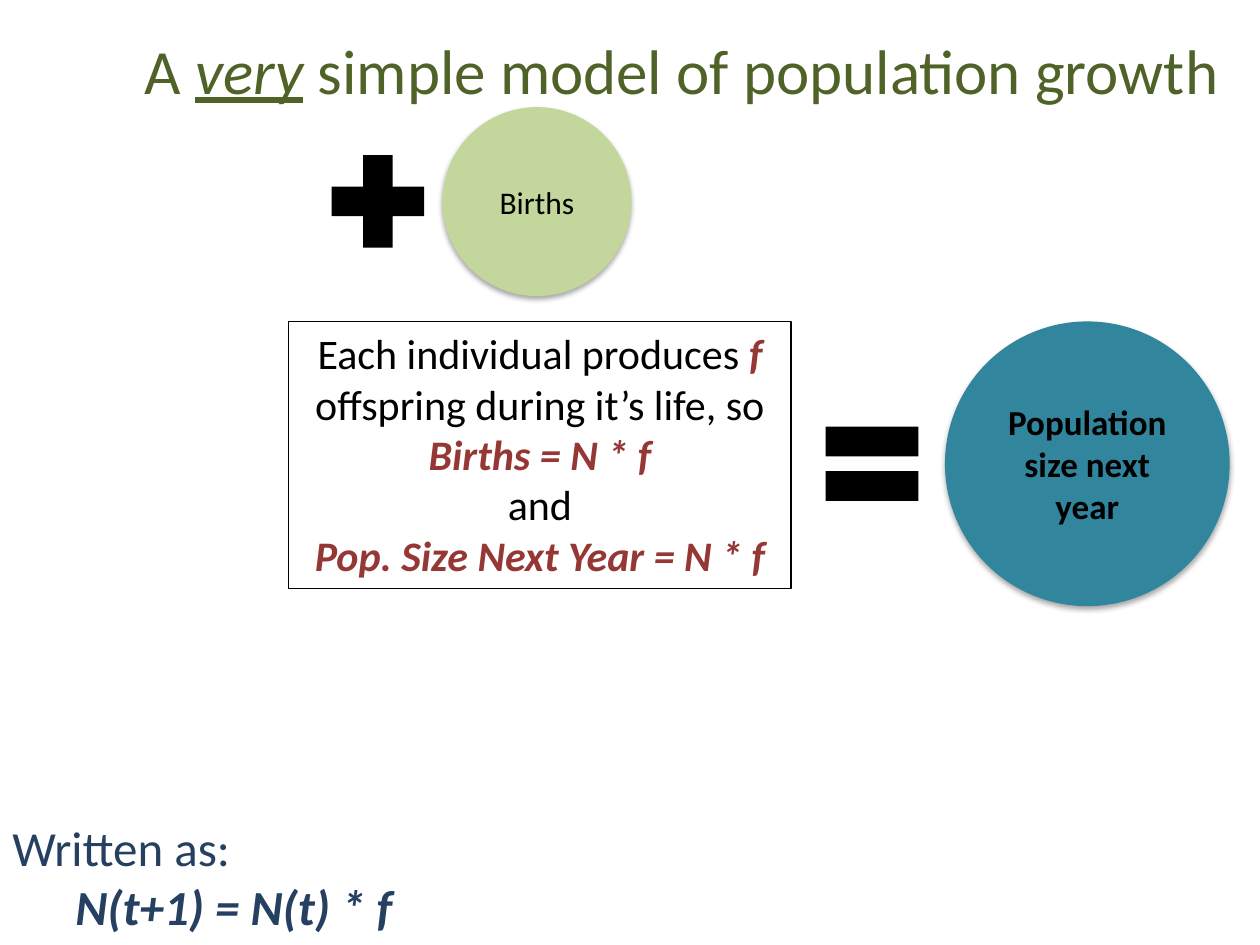
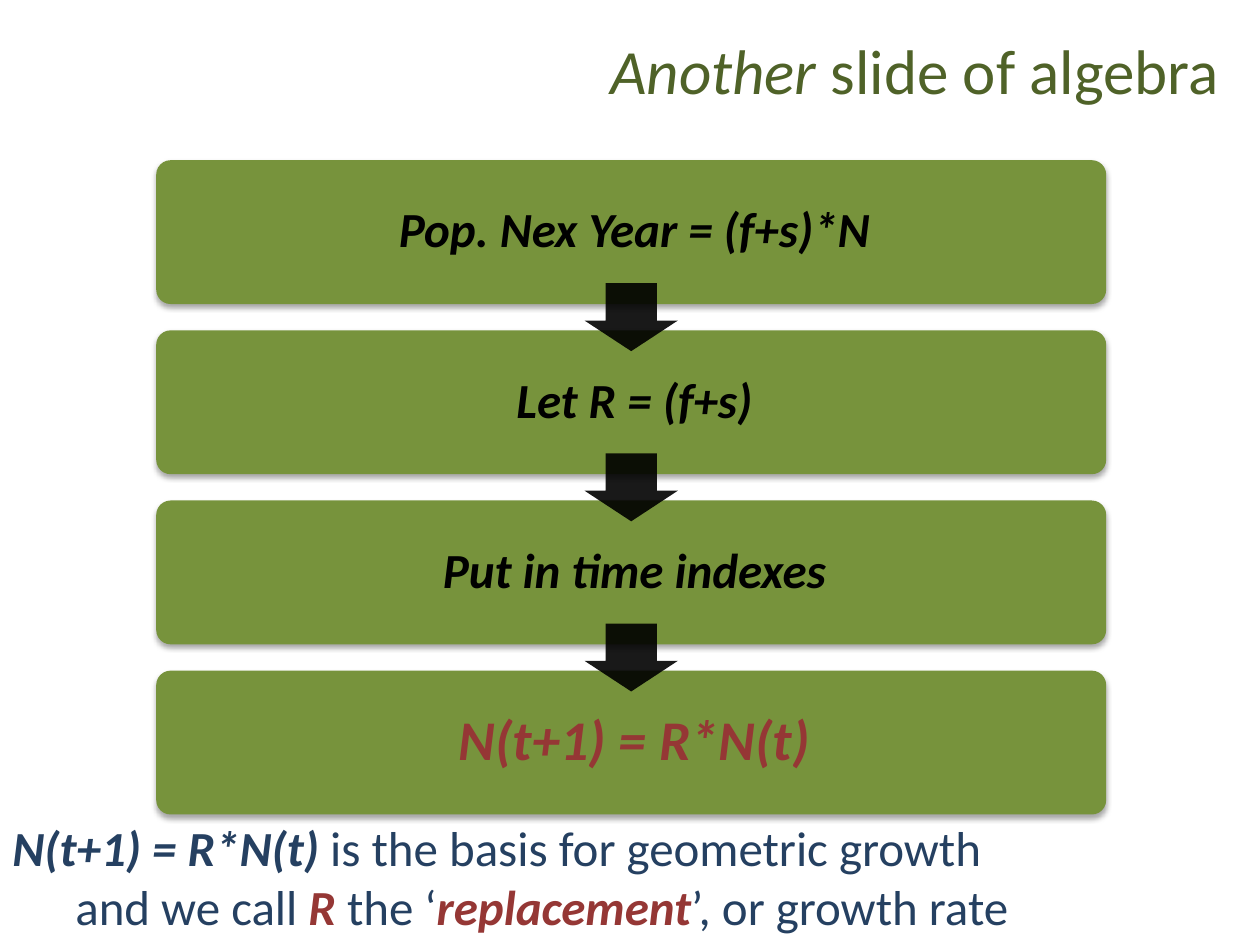
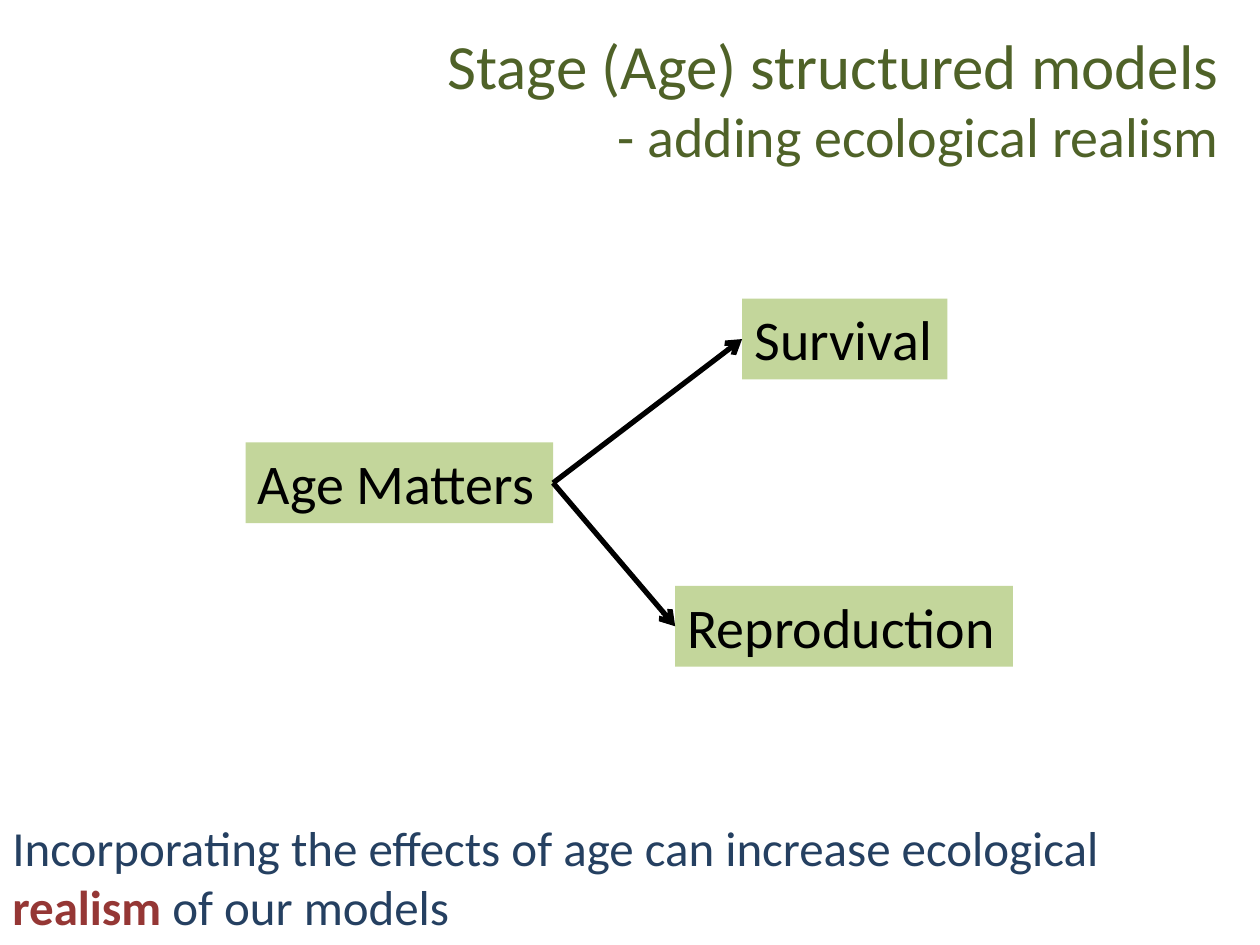
from dataclasses import dataclass
from typing import NamedTuple, Optional

import lxml.etree
import pptx
import pptx.dml.color
import pptx.enum.dml
import pptx.enum.shapes
import pptx.enum.text
import pptx.oxml
import pptx.oxml.ns
import pptx.util
from pptx.util import Cm

ALIGN = pptx.enum.text.PP_ALIGN
ANCHOR = pptx.enum.text.MSO_ANCHOR
SHAPE = pptx.enum.shapes.MSO_SHAPE
qn = pptx.oxml.ns.qn


@dataclass(frozen=True)
class Theme:
    font: str = "Calibri"
    black: str = "000000"
    title: str = "4F6228"
    caption: str = "254061"
    accent: str = "953735"
    pale_green: str = "C3D69B"
    step_green: str = "77933C"
    teal: str = "31859C"
    title_size: int = 36
    large: int = 32
    body: int = 28
    note: int = 24
    circle: int = 20
    small: int = 18


THEME = Theme()


class Box(NamedTuple):
    """Position and size in centimetres."""
    left: float
    top: float
    width: float
    height: float

    def lengths(self) -> list:
        return [Cm(value) for value in self]


@dataclass(frozen=True)
class Span:
    """A run of text; unset colour and size come from the surrounding text."""
    text: str
    color: Optional[str] = None
    size: Optional[int] = None
    bold: bool = False
    italic: bool = False
    underline: bool = False


@dataclass(frozen=True)
class Line:
    spans: list
    indent: float = 0


@dataclass(frozen=True)
class TextStyle:
    size: int
    color: str = THEME.black
    align: ALIGN = ALIGN.CENTER
    anchor: ANCHOR = ANCHOR.MIDDLE
    wrap: bool = True
    grow: bool = False
    spacing: Optional[float] = None


TITLE = TextStyle(THEME.title_size, THEME.title, ALIGN.RIGHT)
CAPTION = TextStyle(THEME.body, THEME.caption, ALIGN.LEFT, ANCHOR.TOP, grow=True)
NOTE = TextStyle(THEME.note, anchor=ANCHOR.TOP, grow=True)
STEP = TextStyle(THEME.body, spacing=0.9)
STAGE = TextStyle(THEME.large, align=ALIGN.LEFT, anchor=ANCHOR.TOP, wrap=False, grow=True)

TITLE_BOX = Box(0.74, 0.3, 24.08, 2.18)
CAPTION_BOX = Box(0, 16.36, 22.89, 2.64)
CAPTION_INDENT = 1.27


def rgb(color: str) -> pptx.dml.color.RGBColor:
    return pptx.dml.color.RGBColor.from_string(color)


def emphasis(text: str, color: Optional[str] = None, size: Optional[int] = None) -> Span:
    return Span(text, color, size, bold=True, italic=True)


def write(shape, lines: list, style: TextStyle) -> None:
    frame = shape.text_frame
    frame.word_wrap = style.wrap
    frame.vertical_anchor = style.anchor
    if style.grow:
        frame.auto_size = pptx.enum.text.MSO_AUTO_SIZE.SHAPE_TO_FIT_TEXT
    for index, line in enumerate(lines):
        paragraph = frame.add_paragraph() if index else frame.paragraphs[0]
        paragraph.alignment = style.align
        if style.spacing:
            paragraph.line_spacing = style.spacing
        if line.indent:
            paragraph._p.get_or_add_pPr().set("marL", str(Cm(line.indent)))
        for span in line.spans:
            run = paragraph.add_run()
            run.text = span.text
            font = run.font
            font.name = THEME.font
            font.size = pptx.util.Pt(span.size or style.size)
            font.color.rgb = rgb(span.color or style.color)
            font.bold, font.italic, font.underline = span.bold, span.italic, span.underline


def add_text(slide, box: Box, lines: list, style: TextStyle, fill: Optional[str] = None):
    label = slide.shapes.add_textbox(*box.lengths())
    if fill:
        label.fill.solid()
        label.fill.fore_color.rgb = rgb(fill)
    write(label, lines, style)
    return label


def add_solid(slide, kind: SHAPE, box: Box, fill: str, shadow: bool = False):
    """Add a preset shape without outline, optionally with the soft drop shadow."""
    solid = slide.shapes.add_shape(kind, *box.lengths())
    solid.fill.solid()
    solid.fill.fore_color.rgb = rgb(fill)
    solid.line.fill.background()
    solid.shadow.inherit = False
    if shadow:
        effects = solid._element.spPr.find(qn("a:effectLst"))
        outer = lxml.etree.SubElement(effects, qn("a:outerShdw"), blurRad="40000",
                                      dist="23000", dir="5400000", rotWithShape="0")
        tint = lxml.etree.SubElement(outer, qn("a:srgbClr"), val=THEME.black)
        lxml.etree.SubElement(tint, qn("a:alpha"), val="35000")
    return solid


def add_arrow(slide, source, target) -> None:
    """Link the right side of source to the left side of target."""
    arrow = slide.shapes.add_connector(pptx.enum.shapes.MSO_CONNECTOR.STRAIGHT, 0, 0, 0, 0)
    arrow.begin_connect(source, 3)
    arrow.end_connect(target, 1)
    arrow.line.color.rgb = rgb(THEME.black)
    arrow.line.width = pptx.util.Pt(3)
    lxml.etree.SubElement(arrow.line._get_or_add_ln(), qn("a:tailEnd"), type="arrow")
    lxml.etree.SubElement(arrow._element.spPr, qn("a:effectLst"))


def add_slide(deck, title: list, caption: list, title_box: Box = TITLE_BOX):
    slide = deck.slides.add_slide(deck.slide_layouts[6])
    add_text(slide, title_box, title, TITLE)
    add_text(slide, CAPTION_BOX, caption, CAPTION)
    return slide


def build_simple_model(deck) -> None:
    slide = add_slide(
        deck,
        [Line([Span("A "), Span("very", italic=True, underline=True),
               Span(" simple model of population growth")])],
        [Line([Span("Written as:")]),
         Line([emphasis("N(t+1) = N(t) * f")], CAPTION_INDENT)])

    next_year = add_solid(slide, SHAPE.OVAL, Box(19.05, 6.48, 5.74, 5.74), THEME.teal, True)
    write(next_year, [Line([Span("Population size next year", bold=True)])],
          TextStyle(THEME.circle))
    births = add_solid(slide, SHAPE.OVAL, Box(8.92, 2.16, 3.81, 3.81), THEME.pale_green, True)
    write(births, [Line([Span("Births")])], TextStyle(THEME.small))
    add_solid(slide, SHAPE.MATH_EQUAL, Box(16.31, 8.08, 2.54, 2.54), THEME.black)
    add_solid(slide, SHAPE.MATH_PLUS, Box(6.35, 2.79, 2.54, 2.54), THEME.black)

    explanation = add_text(slide, Box(5.82, 6.48, 10.13, 5.38), [
        Line([Span("Each individual produces "), emphasis("f", THEME.accent),
              Span(" offspring during it’s life, so")]),
        Line([emphasis("Births = N * f", THEME.accent)]),
        Line([Span("and")]),
        Line([emphasis("Pop. Size Next Year = N * f", THEME.accent)]),
    ], NOTE)
    explanation.line.color.rgb = rgb(THEME.black)
    explanation.line.width = pptx.util.Pt(0.75)


def build_algebra(deck) -> None:
    slide = add_slide(
        deck,
        [Line([Span("Another", italic=True), Span(" slide of algebra")])],
        [Line([emphasis("N(t+1) = R*N(t) "), Span("is the basis for geometric growth")]),
         Line([Span("and we call "), emphasis("R", THEME.accent), Span(" the ‘"),
               emphasis("replacement", THEME.accent), Span("’, or growth rate")],
              CAPTION_INDENT)])

    steps = [emphasis("Pop. Nex Year = (f+s)*N"), emphasis("Let R = (f+s)"),
             emphasis("Put in time indexes"),
             emphasis("N(t+1) = R*N(t)", THEME.accent, THEME.large)]
    first, pitch = Box(3.15, 3.23, 19.15, 2.9), 3.43
    boxes = [first._replace(top=first.top + index * pitch) for index in range(len(steps))]
    for box, step in zip(boxes, steps):
        panel = add_solid(slide, SHAPE.ROUNDED_RECTANGLE, box, THEME.step_green, True)
        panel.adjustments[0] = 0.1
        frame = panel.text_frame
        frame.margin_left = frame.margin_top = frame.margin_bottom = Cm(0.38)
        write(panel, [Line([step])], STEP)

    arrow_width, arrow_height = 1.88, 1.37
    arrow_left = first.left + (first.width - arrow_width) / 2
    for upper, lower in zip(boxes, boxes[1:]):
        gap_middle = (upper.top + upper.height + lower.top) / 2
        arrow = add_solid(slide, SHAPE.DOWN_ARROW,
                          Box(arrow_left, gap_middle - arrow_height / 2,
                              arrow_width, arrow_height), THEME.black)
        arrow.adjustments[0], arrow.adjustments[1] = 0.55, 0.45
        tint = arrow._element.spPr.find(qn("a:solidFill"))[0]
        lxml.etree.SubElement(tint, qn("a:alpha"), val="90000")


def build_stage_models(deck) -> None:
    slide = add_slide(
        deck,
        [Line([Span("Stage (Age) structured models")]),
         Line([Span("- adding ecological realism", size=THEME.large)])],
        [Line([Span("Incorporating the effects of age can increase ecological "),
               Span("realism ", THEME.accent, bold=True), Span("of our models")])],
        TITLE_BOX._replace(height=3.33))

    age, survival, reproduction = [
        add_text(slide, box, [Line([Span(name)])], STAGE, THEME.pale_green)
        for name, box in (("Age Matters", Box(4.95, 8.92, 6.2, 1.63)),
                          ("Survival", Box(14.96, 6.02, 4.14, 1.63)),
                          ("Reproduction", Box(13.61, 11.81, 6.81, 1.63)))]
    for effect in (reproduction, survival):
        add_arrow(slide, age, effect)


def main() -> None:
    deck = pptx.Presentation()
    deck.slide_width, deck.slide_height = Cm(25.4), Cm(19.05)
    build_simple_model(deck)
    build_algebra(deck)
    build_stage_models(deck)
    deck.save("out.pptx")


if __name__ == "__main__":
    main()
